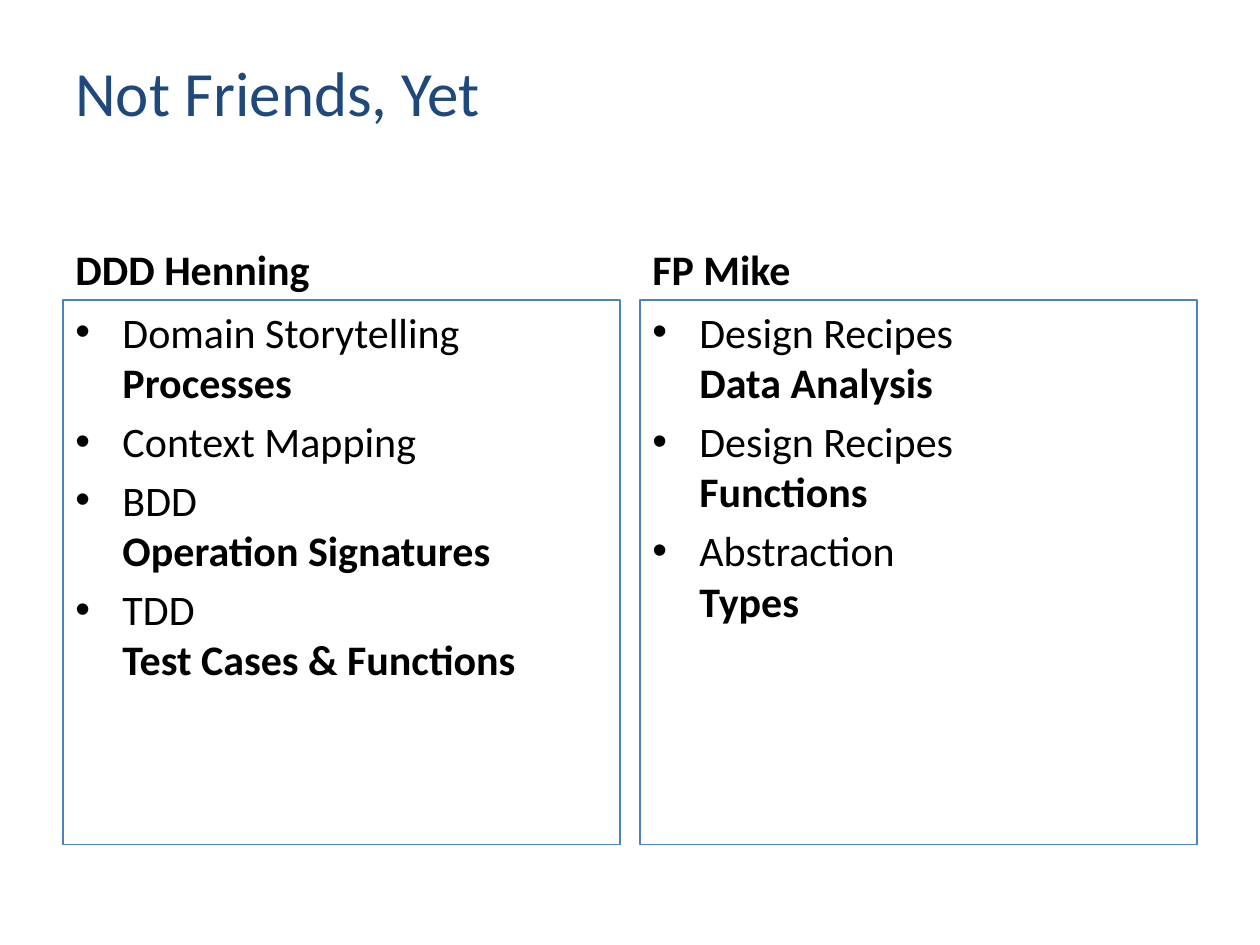
from lxml.etree import SubElement
from pptx import Presentation
from pptx.dml.color import RGBColor
from pptx.enum.shapes import MSO_SHAPE as SHAPE
from pptx.enum.text import MSO_ANCHOR as ANCHOR, PP_ALIGN as ALIGN
from pptx.oxml.ns import qn
from pptx.util import Cm, Pt

NAVY = RGBColor(0x1F, 0x49, 0x7D)
BLUE = RGBColor(0x4F, 0x81, 0xBD)
BLACK = RGBColor(0, 0, 0)

MARGIN, GAP, COLUMN_W = 1.27, 0.4, 11.23
COLUMN_TOP, COLUMN_H, HEADING_H = 4.27, 12.75, 1.78
INDENT = 0.95

COLUMNS = [
    ("DDD Henning", [
        ("Domain Storytelling", "Processes"),
        ("Context Mapping", None),
        ("BDD", "Operation Signatures"),
        ("TDD", "Test Cases & Functions"),
    ]),
    ("FP Mike", [
        ("Design Recipes", "Data Analysis"),
        ("Design Recipes", "Functions"),
        ("Abstraction", "Types"),
    ]),
]


def add_run(p, text, color=BLACK, **formats):
    """Append a Calibri run with the given font attributes."""
    r = p.add_run()
    r.text = text
    for name, value in {"name": "Calibri", "size": Pt(24), **formats}.items():
        setattr(r.font, name, value)
    r.font.color.rgb = color


def add_label(s, box, text, anchor, **formats):
    """Place a single line of text in the box."""
    tf = s.shapes.add_textbox(*map(Cm, box)).text_frame
    tf.word_wrap = True
    tf.vertical_anchor = anchor
    add_run(tf.paragraphs[0], text, **formats)


def format_bullet(p):
    """Give the paragraph a hanging bullet and spacing."""
    p.alignment = ALIGN.LEFT
    p.space_before = Pt(4.8)
    pPr = p._p.get_or_add_pPr()
    pPr.set("marL", str(Cm(INDENT)))
    pPr.set("indent", str(-Cm(INDENT)))
    SubElement(pPr, qn("a:buFont")).set("typeface", "Arial")
    SubElement(pPr, qn("a:buChar")).set("char", "•")


def add_topics(s, box, topics):
    """Draw an outlined box listing practices with their results in bold."""
    sp = s.shapes.add_shape(SHAPE.RECTANGLE, *map(Cm, box))
    sp.shadow.inherit = False
    sp.fill.background()
    sp.line.color.rgb = BLUE
    sp.line.width = Pt(0.75)
    tf = sp.text_frame
    tf.word_wrap = True
    tf.vertical_anchor = ANCHOR.TOP
    for i, (practice, result) in enumerate(topics):
        p = tf.add_paragraph() if i else tf.paragraphs[0]
        format_bullet(p)
        add_run(p, practice)
        if result:
            p.add_line_break()
            add_run(p, result, bold=True)


def add_column(s, box, heading, topics):
    """Stack a heading above its box of topics."""
    x, y, w, h = box
    add_label(s, (x, y, w, HEADING_H), heading, ANCHOR.BOTTOM, bold=True)
    add_topics(s, (x, y + HEADING_H, w, h - HEADING_H), topics)


def main():
    """Build and save the slide."""
    prs = Presentation()
    prs.slide_width, prs.slide_height = Cm(25.4), Cm(19.05)
    s = prs.slides.add_slide(prs.slide_layouts[6])
    add_label(s, (MARGIN, 0.76, 2 * COLUMN_W + GAP, 2.16), "Not Friends, Yet",
              ANCHOR.MIDDLE, color=NAVY, size=Pt(36))
    for i, (heading, topics) in enumerate(COLUMNS):
        x = MARGIN + i * (COLUMN_W + GAP)
        add_column(s, (x, COLUMN_TOP, COLUMN_W, COLUMN_H), heading, topics)
    prs.save("out.pptx")


if __name__ == "__main__":
    main()
